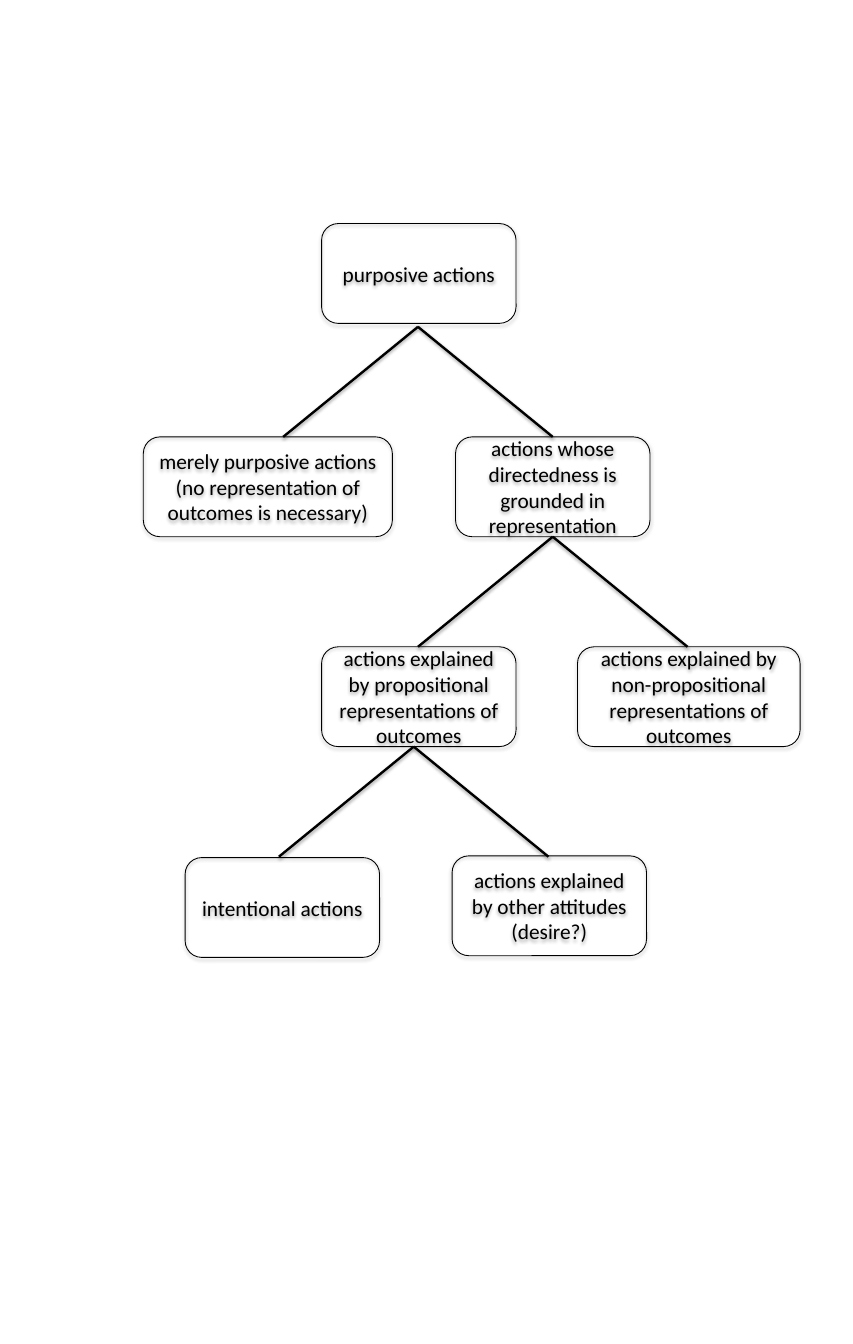
from lxml.etree import SubElement
from pptx import Presentation
from pptx.dml.color import RGBColor
from pptx.enum.shapes import MSO_CONNECTOR, MSO_SHAPE
from pptx.enum.text import MSO_ANCHOR, PP_ALIGN
from pptx.oxml.ns import qn
from pptx.util import Inches, Pt

BLACK = RGBColor(0, 0, 0)
FONT = {"name": "Calibri", "size": Pt(18)}
FRAME = {"word_wrap": True, "vertical_anchor": MSO_ANCHOR.MIDDLE}

BOX_WIDTH, BOX_HEIGHT = 2.28, 1.17
FORK_SPREAD, FORK_DROP = 1.58, 1.29

# left, top, width, wording ("\v" is a line break)
ACTIONS = [
    (3.77, 2.62, BOX_WIDTH, "purposive actions"),
    (1.68, 5.12, 2.92, "merely purposive actions\v"
                       "(no representation of outcomes is necessary)"),
    (5.34, 5.12, BOX_WIDTH,
     "actions whose directedness is grounded in representation"),
    (3.77, 7.58, BOX_WIDTH,
     "actions explained by propositional representations of outcomes"),
    (6.77, 7.58, 2.61,
     "actions explained by non-propositional representations of outcomes"),
    (2.17, 10.05, BOX_WIDTH, "intentional actions"),
    (5.3, 10.03, BOX_WIDTH,
     "actions explained by other attitudes (desire?)"),
]
FORK_TIPS = [(4.9, 3.83), (6.48, 6.29), (4.85, 8.75)]


def apply_format(target, values):
    """Set each named attribute on the target."""
    for name, value in values.items():
        setattr(target, name, value)


def add_shadow(element, distance, opacity):
    """Give a shape or connector a soft black shadow straight below it."""
    effects = SubElement(element._element.spPr, qn("a:effectLst"))
    shadow = SubElement(effects, qn("a:outerShdw"), blurRad=str(Pt(3.1)),
                        dist=str(Pt(distance)), dir="5400000", rotWithShape="0")
    color = SubElement(shadow, qn("a:srgbClr"), val=str(BLACK))
    SubElement(color, qn("a:alpha"), val=str(opacity * 1000))


def set_line(element, width):
    """Draw the outline in black at a width in points."""
    element.line.color.rgb = BLACK
    element.line.width = Pt(width)


def add_action(slide, left, top, width, wording):
    """Add a rounded box that names one kind of action."""
    action = slide.shapes.add_shape(
        MSO_SHAPE.ROUNDED_RECTANGLE, Inches(left), Inches(top),
        Inches(width), Inches(BOX_HEIGHT))
    action.fill.background()
    set_line(action, 0.75)
    add_shadow(action, 1.8, 35)
    apply_format(action.text_frame, FRAME)
    label = action.text_frame.paragraphs[0]
    label.text = wording
    label.alignment = PP_ALIGN.CENTER
    for run in label.runs:
        apply_format(run.font, FONT)
        run.font.color.rgb = BLACK


def add_fork(slide, x, y):
    """Add the two branches that run down from one tip."""
    for side in (1, -1):
        branch = slide.shapes.add_connector(
            MSO_CONNECTOR.STRAIGHT, Inches(x), Inches(y),
            Inches(x + side * FORK_SPREAD), Inches(y + FORK_DROP))
        set_line(branch, 2)
        add_shadow(branch, 1.6, 38)


def main():
    """Build the tree of action kinds."""
    deck = Presentation()
    deck.slide_width, deck.slide_height = Inches(10), Inches(15.75)
    slide = deck.slides.add_slide(deck.slide_layouts[6])
    for action in ACTIONS:
        add_action(slide, *action)
    for tip in FORK_TIPS:
        add_fork(slide, *tip)
    deck.save("out.pptx")


main()
